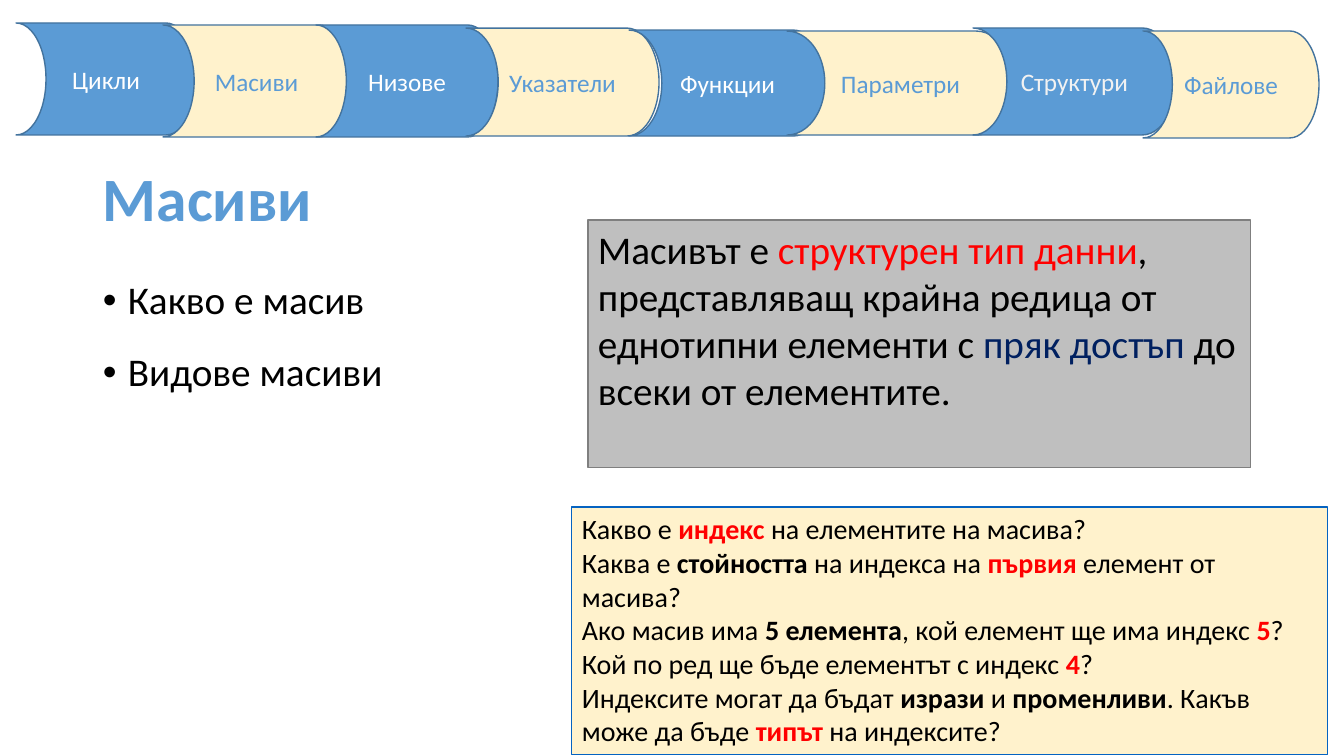
import pptx
import pptx.util
import pptx.dml.color
import pptx.enum.shapes
import pptx.enum.text
import pptx.oxml.ns
import lxml.etree

SHAPES = pptx.enum.shapes.MSO_SHAPE
ANCHOR = pptx.enum.text.MSO_ANCHOR
ALIGN = pptx.enum.text.PP_ALIGN

# Content: a paragraph is a list of (text, style) spans
BLUE, CREAM, BLACK, RED, NAVY = "5B9BD5", "FFF2CC", "000000", "FF0000", "002060"
PLAIN, BOLD, KEY = {}, {"bold": True}, {"bold": True, "color": RED}

TABS = [  # label, left, top, width, height
    ("Цикли", 16, 23, 180, 112),
    ("Масиви", 163, 25, 187, 112),
    ("Низове", 316, 25, 182, 112),
    ("Указатели", 466, 28, 193, 108),
    ("Функции", 629, 30, 197, 106),
    ("Параметри", 787, 31, 227, 104),
    ("Структури", 973, 28, 203, 107),
    ("Файлове", 1143, 31, 176, 107),
]
TITLE = "Масиви"
TOPICS = [("Какво е масив", (93, 276, 383, 68)), ("Видове масиви", (93, 348, 302, 53))]
DEFINITION = [[
    ("Масивът е ", PLAIN),
    ("структурен тип данни", {"color": RED}),
    (", представляващ крайна редица от еднотипни елементи с ", PLAIN),
    ("пряк достъп ", {"color": NAVY}),
    ("до всеки от елементите.", PLAIN),
]]
QUESTIONS = [
    [("Какво е ", PLAIN), ("индекс ", KEY), ("на елементите на масива?", PLAIN)],
    [("Каква е ", PLAIN), ("стойността", BOLD), (" на индекса на ", PLAIN),
     ("първия", KEY), (" елемент от масива?", PLAIN)],
    [("Ако масив има ", PLAIN), ("5 елемента", BOLD),
     (", кой елемент ще има индекс ", PLAIN), ("5", KEY), ("?", PLAIN)],
    [("Кой по ред ще бъде елементът с индекс ", PLAIN), ("4", KEY), ("?", PLAIN)],
    [("Индексите могат да бъдат ", PLAIN), ("изрази", BOLD), (" и ", PLAIN),
     ("променливи", BOLD), (". Какъв може да бъде ", PLAIN), ("типът", KEY),
     (" на индексите?", PLAIN)],
]

EMU_PER_PX = 914400 / 100.8


def px(length):
    return pptx.util.Emu(round(length * EMU_PER_PX))


def rgb(value):
    return pptx.dml.color.RGBColor.from_string(value)


def add_bullet(para):
    props = para._p.get_or_add_pPr()
    props.set("marL", str(px(25)))
    props.set("indent", str(-px(25)))
    tag = pptx.oxml.ns.qn
    lxml.etree.SubElement(props, tag("a:buFont")).set("typeface", "Arial")
    lxml.etree.SubElement(props, tag("a:buChar")).set("char", "•")


def write(box, text, size=28, color=BLACK, bold=False, align=ALIGN.LEFT,
          anchor=ANCHOR.TOP, spacing=None, bullet=False):
    """Fill a box with a plain string or with paragraphs of styled spans."""
    frame = box.text_frame
    frame.word_wrap = True
    frame.vertical_anchor = anchor
    paragraphs = [[(text, PLAIN)]] if isinstance(text, str) else text
    for index, spans in enumerate(paragraphs):
        para = frame.add_paragraph() if index else frame.paragraphs[0]
        para.alignment = align
        if spacing:
            para.line_spacing = spacing
        if bullet:
            add_bullet(para)
        for words, style in spans:
            span = para.add_run()
            span.text = words
            span.font.name = "Calibri"
            span.font.size = pptx.util.Pt(size)
            span.font.bold = style.get("bold", bold)
            span.font.color.rgb = rgb(style.get("color", color))


def add_panel(page, kind, place, fill, line, weight):
    panel = page.shapes.add_shape(kind, *map(px, place))
    panel.shadow.inherit = False
    panel.fill.solid()
    panel.fill.fore_color.rgb = rgb(fill)
    panel.line.color.rgb = rgb(line)
    panel.line.width = pptx.util.Pt(weight)
    return panel


def main():
    deck = pptx.Presentation()
    deck.slide_width, deck.slide_height = px(1344), px(756)
    page = deck.slides.add_slide(deck.slide_layouts[6])

    # Navigation tabs, alternating colours, bulging to the right
    for index, (label, *place) in enumerate(TABS):
        fill, color = (CREAM, BLUE) if index % 2 else (BLUE, "FFFFFF")
        if label == "Структури":
            color = "F2F2F2"
        tab = add_panel(page, SHAPES.FLOWCHART_STORED_DATA, place, fill, "43739E", 1)
        tab.rotation = 180
        tab.element.spPr.xfrm.set("flipV", "1")
        write(tab, label, size=18, color=color, align=ALIGN.CENTER, anchor=ANCHOR.MIDDLE)

    # Title
    title = page.shapes.add_textbox(*map(px, (93, 139, 1159, 125)))
    write(title, TITLE, size=44, color=BLUE, bold=True, anchor=ANCHOR.MIDDLE, spacing=0.9)

    # Topics
    for topic, place in TOPICS:
        box = page.shapes.add_textbox(*map(px, place))
        write(box, topic, spacing=0.9, bullet=True)

    # Definition and questions
    definition = add_panel(page, SHAPES.RECTANGLE, (588, 220, 663, 248),
                           "BFBFBF", "7F7F7F", 0.75)
    write(definition, DEFINITION)
    questions = add_panel(page, SHAPES.RECTANGLE, (572, 507, 756, 248),
                          CREAM, "0563C1", 0.75)
    write(questions, QUESTIONS, size=20)

    deck.save("out.pptx")


if __name__ == "__main__":
    main()
